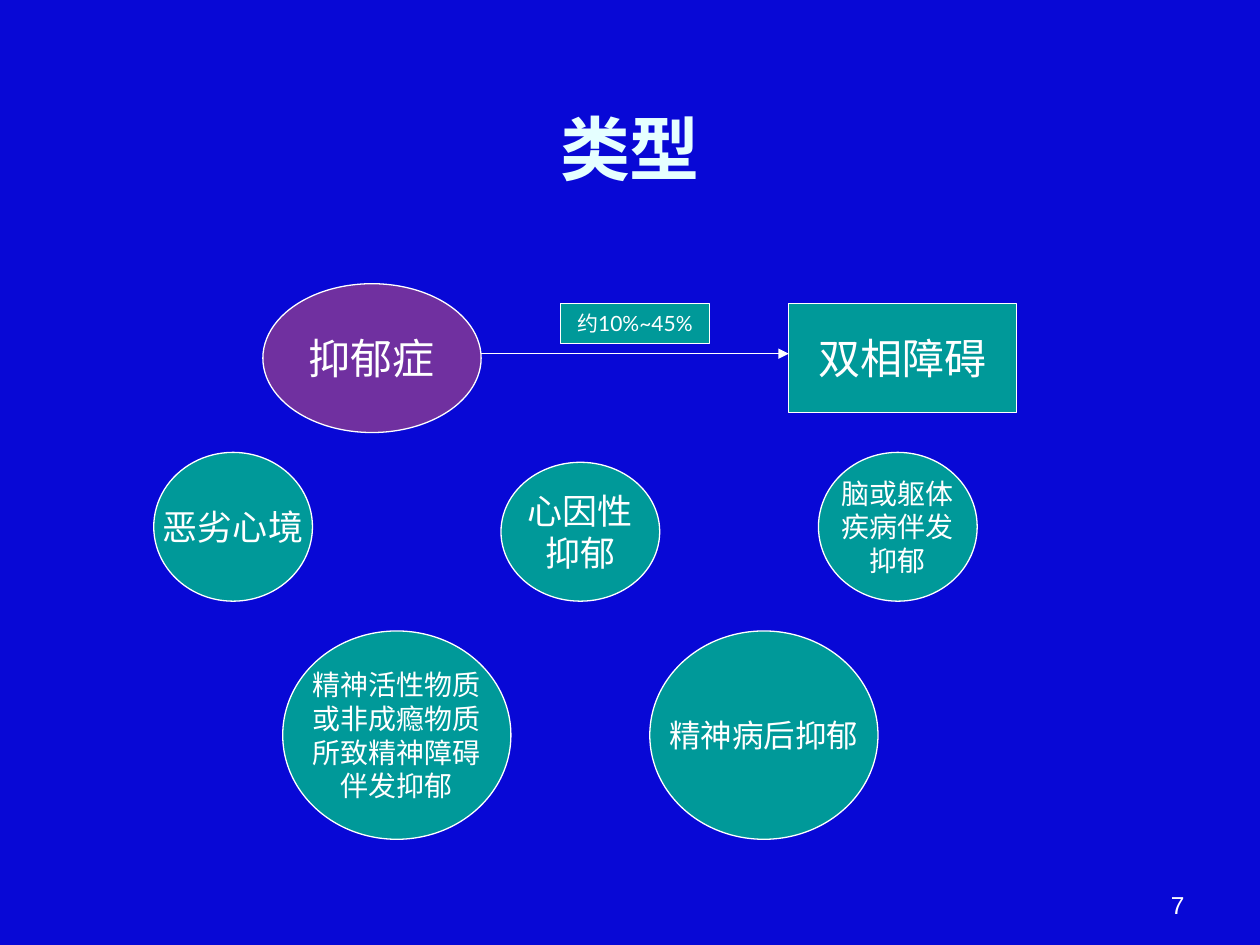
from lxml.etree import SubElement as Sub
from pptx import Presentation
from pptx.dml.color import RGBColor
from pptx.enum.shapes import MSO_CONNECTOR as Link, MSO_SHAPE as Kind
from pptx.enum.text import MSO_ANCHOR as Anchor, PP_ALIGN as Align
from pptx.oxml.ns import qn
from pptx.util import Cm, Pt

BLUE, TEAL, PURPLE = "0808D6", "009999", "7030A0"
WHITE, ICE = "FFFFFF", "E5FFFF"


def paint(fill, color):
    fill.solid()
    fill.fore_color.rgb = RGBColor.from_string(color)


def write(frame, text, size, font="Lato", color=WHITE, bold=False,
          align=Align.CENTER, anchor=Anchor.MIDDLE, wrap=False):
    frame.text = text
    frame.word_wrap = wrap
    frame.vertical_anchor = anchor
    for para in frame.paragraphs:
        para.alignment = align
        face = para.font
        face.size, face.bold, face.name = Pt(size), bold, font
        paint(face.fill, color)
        # Chinese text takes its face from the East Asian font
        Sub(face._rPr, qn("a:ea"), typeface=font)


def node(slide, kind, box, text, size, color=TEAL):
    shape = slide.shapes.add_shape(kind, *map(Cm, box))
    shape.shadow.inherit = False
    paint(shape.fill, color)
    paint(shape.line.fill, WHITE)
    shape.line.width = Pt(0.75)
    write(shape.text_frame, text, size)


def arrow(slide, left, right, y):
    link = slide.shapes.add_connector(
        Link.STRAIGHT, Cm(left), Cm(y), Cm(right), Cm(y))
    paint(link.line.fill, WHITE)
    link.line.width = Pt(0.75)
    Sub(link.line._get_or_add_ln(), qn("a:tailEnd"), type="triangle")
    Sub(link._element.spPr, qn("a:effectLst"))


def title(slide, text):
    head = slide.shapes.title
    head.left, head.top, head.width, head.height = map(
        Cm, (1.27, 1.07, 22.86, 3.81))
    write(head.text_frame, text, 40, "Noto Sans CJK SC", ICE, True, wrap=True)


def number(slide, text):
    box = slide.shapes.add_textbox(Cm(18.21), Cm(17.35), Cm(5.92), Cm(1.32))
    write(box.text_frame, text, 14, "Arial", align=Align.RIGHT,
          anchor=Anchor.BOTTOM, wrap=True)


def main():
    deck = Presentation()
    deck.slide_width, deck.slide_height = Cm(25.4), Cm(19.05)
    slide = deck.slides.add_slide(deck.slide_layouts[5])
    paint(slide.background.fill, BLUE)
    number(slide, "7")
    title(slide, "类型")

    oval, rect = Kind.OVAL, Kind.RECTANGLE
    node(slide, oval, (5.3, 5.72, 4.4, 3), "抑郁症", 24, PURPLE)
    node(slide, rect, (15.9, 6.12, 4.6, 2.2), "双相障碍", 24)
    node(slide, oval, (3.1, 9.12, 3.2, 3), "恶劣心境", 20)
    node(slide, oval, (10.1, 9.32, 3.2, 2.8), "心因性\n抑郁", 20)
    node(slide, oval, (16.5, 9.12, 3.2, 3), "脑或躯体\n疾病伴发\n抑郁", 16)
    node(slide, oval, (5.7, 12.72, 4.6, 4.2),
         "精神活性物质\n或非成瘾物质\n所致精神障碍\n伴发抑郁", 16)
    node(slide, oval, (13.1, 12.72, 4.6, 4.2), "精神病后抑郁", 18)
    arrow(slide, 9.7, 15.9, 7.13)
    node(slide, rect, (11.3, 6.12, 3, 0.8), "约10%~45%", 12)
    deck.save("out.pptx")


if __name__ == "__main__":
    main()
